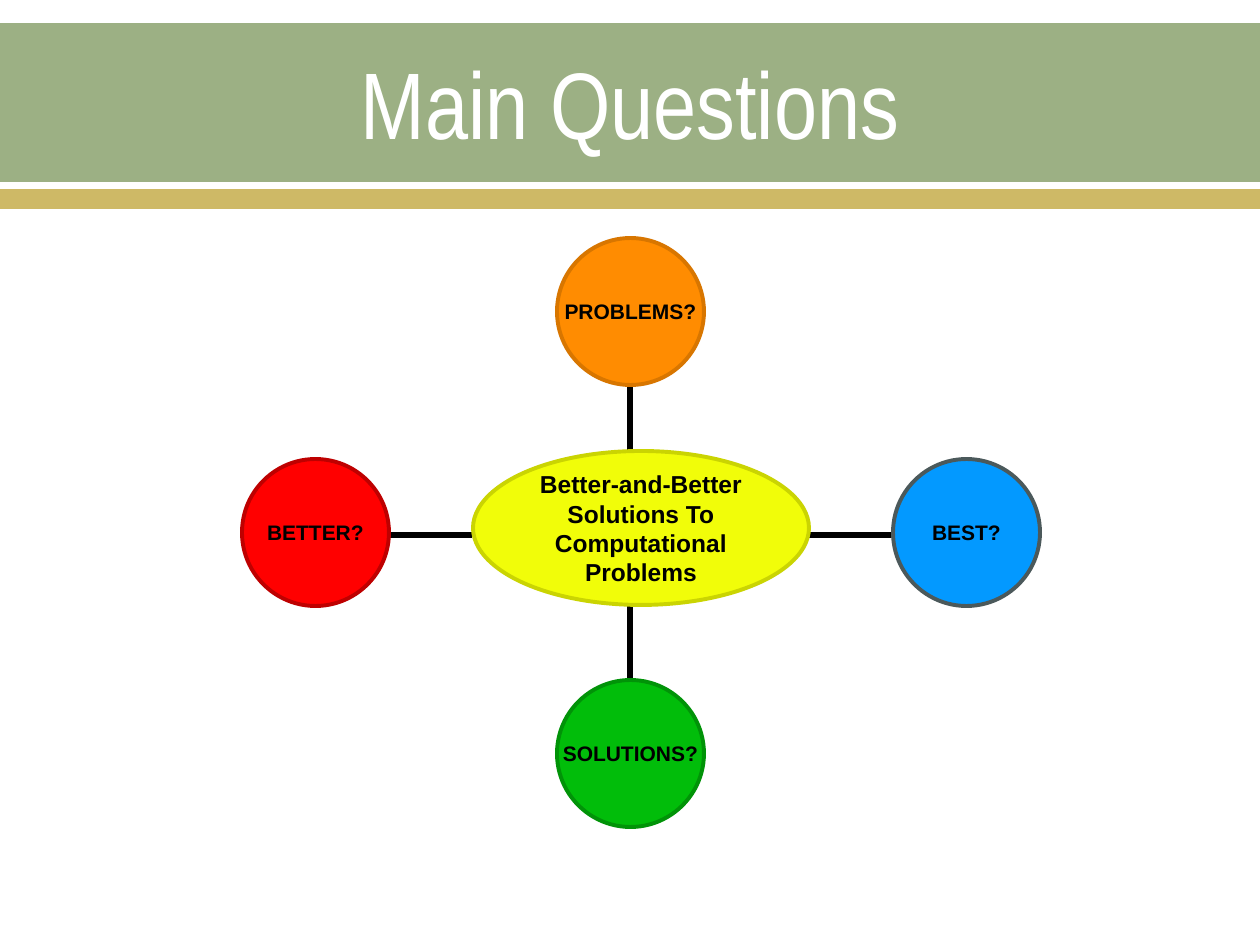
import pptx
import pptx.util
import pptx.dml.color
import pptx.enum.shapes
import pptx.enum.text
import pptx.oxml.ns
import lxml.etree

RGB = pptx.dml.color.RGBColor
SHAPE = pptx.enum.shapes.MSO_SHAPE
MIDDLE = pptx.enum.text.MSO_ANCHOR.MIDDLE
CENTER = pptx.enum.text.PP_ALIGN.CENTER

EMU_PER_PIXEL = 914400 / 126
TITLE_ONLY = 5
CIRCLE = 147

WHITE = RGB(0xFF, 0xFF, 0xFF)
BLACK = RGB(0x00, 0x00, 0x00)
SAGE = RGB(0x9C, 0xB0, 0x84)
SAND = RGB(0xCE, 0xB9, 0x66)
RED = RGB(0xFF, 0x00, 0x00)
DARK_RED = RGB(0xBE, 0x00, 0x00)
GREEN = RGB(0x01, 0xBD, 0x0A)
DARK_GREEN = RGB(0x01, 0x93, 0x08)
BLUE = RGB(0x03, 0x99, 0xFF)
SLATE = RGB(0x4B, 0x59, 0x5B)
ORANGE = RGB(0xFF, 0x8C, 0x01)
DARK_ORANGE = RGB(0xD8, 0x76, 0x00)
YELLOW = RGB(0xF1, 0xFD, 0x09)
DARK_YELLOW = RGB(0xCA, 0xD4, 0x02)


def scaled(*pixels):
    """Turn pixel lengths into EMU."""
    return [pptx.util.Emu(round(value * EMU_PER_PIXEL)) for value in pixels]


class Painter:
    """Holds the style and the current slide."""

    def __init__(self, page):
        self.page = page

    def label(self, frame, text, size, color, font="Arial", bold=True):
        """Put one centred paragraph into a text frame."""
        frame.text = text
        frame.vertical_anchor = MIDDLE
        para = frame.paragraphs[0]
        para.alignment = CENTER
        para.font.name = font
        para.font.size = pptx.util.Pt(size)
        para.font.bold = bold
        para.font.color.rgb = color

    def title(self, text, left, top, width, height):
        """Place and format the title placeholder."""
        box = self.page.shapes.title
        box.left, box.top, box.width, box.height = scaled(left, top, width, height)
        self.label(box.text_frame, text, 54, WHITE, "Arial Narrow", False)
        box.text_frame.word_wrap = True
        box.text_frame.auto_size = pptx.enum.text.MSO_AUTO_SIZE.NONE

    def shape(self, kind, left, top, width, height, fill):
        """Add a flat filled shape without an outline."""
        shape = self.page.shapes.add_shape(kind, *scaled(left, top, width, height))
        shape.shadow.inherit = False
        shape.fill.solid()
        shape.fill.fore_color.rgb = fill
        shape.line.fill.background()
        return shape

    def band(self, top, height, fill):
        """Add a full-width band behind the title."""
        band = self.shape(SHAPE.RECTANGLE, 0, top, 1260, height, fill)
        self.page.shapes.title.element.addprevious(band.element)

    def bubble(self, text, left, top, width, height, fill, outline, size=12, wrap=False):
        """Add an outlined ellipse with a bold label."""
        bubble = self.shape(SHAPE.OVAL, left, top, width, height, fill)
        bubble.line.color.rgb = outline
        bubble.line.width = pptx.util.Pt(2.25)
        frame = bubble.text_frame
        frame.margin_left = frame.margin_right = 0
        frame.margin_top = frame.margin_bottom = 0
        frame.word_wrap = wrap
        self.label(frame, text, size, BLACK)

    def spoke(self, *ends):
        """Add a black line between two points."""
        line = self.page.shapes.add_connector(
            pptx.enum.shapes.MSO_CONNECTOR.STRAIGHT, *scaled(*ends))
        line.line.color.rgb = BLACK
        line.line.width = pptx.util.Pt(3)
        lxml.etree.SubElement(line.element.spPr, pptx.oxml.ns.qn("a:effectLst"))


def main():
    """Build the slide and save it."""
    deck = pptx.Presentation()
    deck.slide_width, deck.slide_height = scaled(1260, 945)
    page = deck.slides.add_slide(deck.slide_layouts[TITLE_ONLY])
    painter = Painter(page)

    painter.band(23, 159, SAGE)
    painter.band(189, 20, SAND)
    painter.title("Main Questions", 63, 25, 1134, 154)

    questions = [
        ("BETTER?", 242, 459, RED, DARK_RED, (472, 535, 388, 535)),
        ("SOLUTIONS?", 557, 680, GREEN, DARK_GREEN, (630, 606, 630, 680)),
        ("BEST?", 893, 459, BLUE, SLATE, (809, 535, 893, 535)),
        ("PROBLEMS?", 557, 238, ORANGE, DARK_ORANGE, (630, 459, 630, 386)),
    ]
    for text, left, top, fill, outline, ends in questions:
        painter.spoke(*ends)
        painter.bubble(text, left, top, CIRCLE, CIRCLE, fill, outline)
    painter.bubble("Better-and-Better Solutions To Computational Problems",
                   473, 451, 336, 154, YELLOW, DARK_YELLOW, size=14, wrap=True)

    deck.save("out.pptx")


main()
